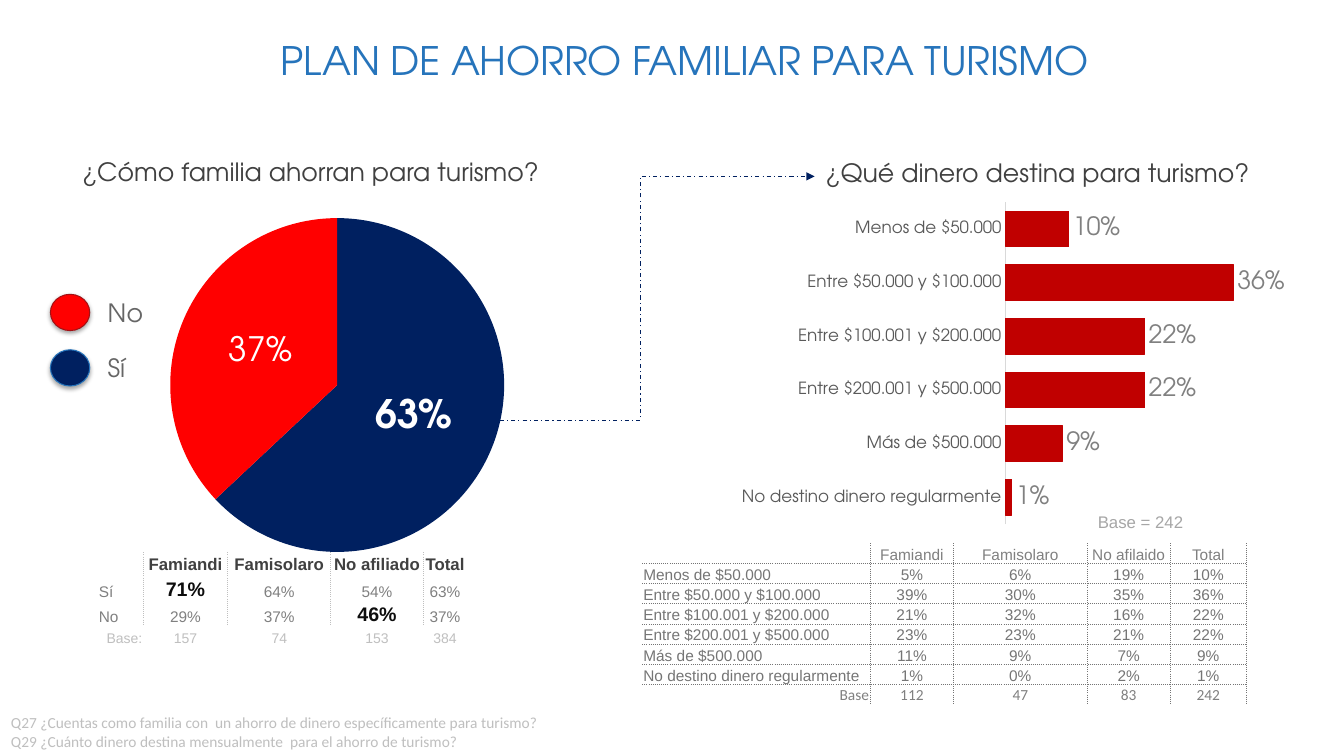
import pptx
import pptx.util
import pptx.chart.data
import pptx.dml.color
import pptx.enum.chart
import pptx.enum.dml
import pptx.enum.shapes
import pptx.enum.text
import pptx.oxml
import pptx.oxml.ns
from lxml import etree

Inches, Pt = pptx.util.Inches, pptx.util.Pt
RGB = pptx.dml.color.RGBColor
ALIGN = pptx.enum.text.PP_ALIGN
ANCHOR = pptx.enum.text.MSO_ANCHOR
CHART = pptx.enum.chart.XL_CHART_TYPE
LABEL = pptx.enum.chart.XL_LABEL_POSITION

BLUE, NAVY = RGB(0x26, 0x74, 0xBB), RGB(0x00, 0x20, 0x60)
RED, DARK_RED = RGB(0xFF, 0x00, 0x00), RGB(0xC0, 0x00, 0x00)
RED_EDGE, WHITE = RGB(0xA3, 0x11, 0x15), RGB(0xFF, 0xFF, 0xFF)
BLACK, INK = RGB(0x0D, 0x0D, 0x0D), RGB(0x40, 0x40, 0x40)
AXIS_TEXT, LEGEND_TEXT = RGB(0x59, 0x59, 0x59), RGB(0x66, 0x66, 0x66)
ROW_TEXT, GREY = RGB(0x75, 0x75, 0x75), RGB(0x80, 0x80, 0x80)
BASE_TEXT, PALE = RGB(0xA6, 0xA6, 0xA6), RGB(0xBF, 0xBF, 0xBF)
AXIS_LINE = RGB(0xD9, 0xD9, 0xD9)
GOTHIC, ARIAL, CALIBRI = "TeX Gyre Adventor", "Arial", "Calibri"
A_NS = pptx.oxml.ns.nsdecls("a")


def set_font(font, name, size, color, bold=False):
    for key, value in {"name": name, "size": Pt(size), "bold": bold}.items():
        setattr(font, key, value)
    font.color.rgb = color


def add_text(s, box, lines, name, size, color, align=ALIGN.LEFT, wrap=True):
    tf = s.shapes.add_textbox(*map(Inches, box)).text_frame
    tf.word_wrap = wrap
    for i, line in enumerate(lines):
        p = tf.add_paragraph() if i else tf.paragraphs[0]
        p.alignment = align
        r = p.add_run()
        r.text = line
        set_font(r.font, name, size, color)


def set_borders(cell, borders, width, dash):
    """borders gives left, right, top and bottom as a colour or None."""
    tc_pr = cell._tc.get_or_add_tcPr()
    for i, (side, color) in enumerate(zip("LRTB", borders)):
        fill = (f'<a:solidFill><a:srgbClr val="{color}"/></a:solidFill>'
                f'<a:prstDash val="{dash}"/>' if color else "<a:noFill/>")
        tc_pr.insert(i, pptx.oxml.parse_xml(
            f'<a:ln{side} {A_NS} w="{Pt(width)}">{fill}</a:ln{side}>'))


def add_table(s, x, y, widths, row_height, rows, style, borders, width, dash):
    """style and borders take a row and a column number."""
    shape = s.shapes.add_table(len(rows), len(widths), Inches(x), Inches(y),
                               Inches(sum(widths)), Inches(row_height * len(rows)))
    table = shape.table
    table.first_row = table.horz_banding = False
    for column, w in zip(table.columns, widths):
        column.width = Inches(w)
    for i, row in enumerate(rows):
        table.rows[i].height = Inches(row_height)
        for j, text in enumerate(row):
            cell = table.cell(i, j)
            cell.fill.background()
            margins = dict.fromkeys(("margin_left", "margin_right", "margin_top"), Inches(0.01))
            for key, value in {**margins, "margin_bottom": 0}.items():
                setattr(cell, key, value)
            font, align, anchor = style(i, j)
            cell.vertical_anchor = anchor
            p = cell.text_frame.paragraphs[0]
            p.alignment = align
            if text:
                r = p.add_run()
                r.text = text
                set_font(r.font, *font)
            else:
                p._p.get_or_add_endParaRPr().set("sz", str(font[1] * 100))
            set_borders(cell, borders(i, j), width, dash)


def add_chart(s, kind, box, categories, values, plot_box):
    data = pptx.chart.data.CategoryChartData(number_format="0%")
    data.categories = categories
    data.add_series("Series 1", values)
    chart = s.shapes.add_chart(kind, *map(Inches, box), data).chart
    chart.has_legend = chart.has_title = False
    set_font(chart.font, CALIBRI, 10, RGB(0, 0, 0))
    # Fixed inner plot area
    area = chart._chartSpace.chart.plotArea
    for old in area.findall(pptx.oxml.ns.qn("c:layout")):
        area.remove(old)
    marks = "".join(f'<c:{k} val="{v}"/>' for k, v in zip("xywh", plot_box))
    area.insert(0, pptx.oxml.parse_xml(
        f'<c:layout {pptx.oxml.ns.nsdecls("c")}><c:manualLayout>'
        '<c:layoutTarget val="inner"/><c:xMode val="edge"/><c:yMode val="edge"/>'
        f'{marks}</c:manualLayout></c:layout>'))
    plot = chart.plots[0]
    plot.has_data_labels = True
    labels = plot.data_labels
    labels.show_value = True
    labels.number_format, labels.number_format_is_linked = "0%", False
    return chart, plot, labels


def add_title(s, box, text):
    sp = s.shapes.title
    for key, value in zip(("left", "top", "width", "height"), box):
        setattr(sp, key, Inches(value))
    tf = sp.text_frame
    for side in ("left", "right", "top", "bottom"):
        setattr(tf, f"margin_{side}", 0)
    p = tf.paragraphs[0]
    p.alignment = ALIGN.CENTER
    r = p.add_run()
    r.text = text
    set_font(r.font, GOTHIC, 28, BLUE)
    r._r.get_or_add_rPr().set("spc", "-10")


def add_legend(s, x, y):
    for i, (text, fill, edge) in enumerate((("No", RED, RED_EDGE), ("Sí", NAVY, BLUE))):
        top = y + 0.55 * i
        sp = s.shapes.add_shape(pptx.enum.shapes.MSO_SHAPE.OVAL, Inches(x),
                                Inches(top), Inches(0.39), Inches(0.36))
        sp.fill.solid()
        sp.fill.fore_color.rgb = fill
        sp.line.color.rgb, sp.line.width = edge, Pt(0.75)
        sp._element.spPr.append(pptx.oxml.parse_xml(
            f'<a:effectLst {A_NS}><a:outerShdw blurRad="{Pt(3.1)}" dist="{Pt(1.8)}" '
            'dir="5400000" rotWithShape="0"><a:srgbClr val="000000"><a:alpha val="35000"/>'
            '</a:srgbClr></a:outerShdw></a:effectLst>'))
        add_text(s, (x + 0.47, top - 0.02, 0.7, 0.4), [text], GOTHIC, 18, LEGEND_TEXT)


def add_savings(s, x, y):
    """Pie, legend and table: does the family save for tourism?"""
    _, plot, labels = add_chart(s, CHART.PIE, (x + 0.07, y + 0.52, 6.47, 3.6),
                                ["1", "2"], (0.63, 0.37), (0.24, 0.04, 0.52, 0.92))
    set_font(labels.font, GOTHIC, 18, WHITE)
    labels.position = LABEL.CENTER
    for i, (fill, size, bold) in enumerate(((NAVY, 28, True), (RED, 24, False))):
        point = plot.series[0].points[i]
        point.format.fill.solid()
        point.format.fill.fore_color.rgb = fill
        set_font(point.data_label.font, GOTHIC, size, WHITE, bold)
        point.data_label.position = LABEL.CENTER
    add_legend(s, x + 0.46, y + 1.42)

    rows = [("", "Famiandi", "Famisolaro", "No afiliado", "Total"),
            ("Sí", "71%", "64%", "54%", "63%"),
            ("No", "29%", "37%", "46%", "37%"),
            ("Base:", "157", "74", "153", "384")]

    def style(i, j):
        align = ALIGN.CENTER if j else ALIGN.RIGHT if i == 3 else ALIGN.LEFT
        if i == 0:
            return (ARIAL, 12, INK, True), align, ANCHOR.MIDDLE
        if i == 3:
            return (ARIAL, 10, PALE), align, ANCHOR.MIDDLE
        top_value = (i, j) in ((1, 1), (2, 3))
        font = (ARIAL, 14, BLACK, True) if top_value else (ARIAL, 11, GREY)
        return font, align, ANCHOR.BOTTOM

    def borders(i, j):
        return (PALE if j and i < 3 else None, PALE if j < 4 and i < 3 else None, None, None)

    add_table(s, x + 0.93, y + 3.98, (0.45, 0.84, 1.02, 0.92, 0.43), 0.24,
              rows, style, borders, 1, "sysDot")
    add_text(s, (x, y, 6.08, 0.4), ["¿Cómo familia ahorran para turismo?"],
             GOTHIC, 18, INK, ALIGN.CENTER)


def add_spending(s, x, y):
    """Bars and table: how much money goes to tourism?"""
    amounts = ["Menos de $50.000", "Entre $50.000 y $100.000", "Entre $100.001 y $200.000",
               "Entre $200.001 y $500.000", "Más de $500.000", "No destino dinero regularmente"]
    add_text(s, (x + 0.88, y, 6.08, 0.4), ["¿Qué dinero destina para turismo?"],
             GOTHIC, 18, INK, ALIGN.CENTER)
    add_text(s, (x + 4.42, y + 3.52, 1.06, 0.3), ["Base = 242"], ARIAL, 12, BASE_TEXT, wrap=False)

    chart, plot, labels = add_chart(
        s, CHART.BAR_CLUSTERED, (x + 0.69, y + 0.37, 5.77, 3.5), amounts,
        (0.10, 0.36, 0.22, 0.22, 0.09, 0.01), (0.505, 0.036, 0.435, 0.913))
    set_font(labels.font, GOTHIC, 18, GREY)
    labels.position = LABEL.OUTSIDE_END
    plot.gap_width, plot.vary_by_categories = 50, False
    bars = plot.series[0].format
    bars.fill.solid()
    bars.fill.fore_color.rgb = bars.line.color.rgb = DARK_RED
    bars.line.width = Pt(0.75)
    axis = chart.category_axis
    axis.reverse_order = True
    axis.major_tick_mark = pptx.enum.chart.XL_TICK_MARK.NONE
    axis.format.line.color.rgb, axis.format.line.width = AXIS_LINE, Pt(0.75)
    set_font(axis.tick_labels.font, GOTHIC, 12, AXIS_TEXT)
    for key, value in {"visible": False, "has_major_gridlines": False,
                       "minimum_scale": 0, "maximum_scale": 0.4}.items():
        setattr(chart.value_axis, key, value)

    shares = [(5, 6, 19, 10), (39, 30, 35, 36), (21, 32, 16, 22),
              (23, 23, 21, 22), (11, 9, 7, 9), (1, 0, 2, 1)]
    rows = [("", "Famiandi", "Famisolaro", "No afilaido", "Total"),
            *((a, *(f"{v}%" for v in vs)) for a, vs in zip(amounts, shares)),
            ("Base", "112", "47", "83", "242")]

    def style(i, j):
        align = ALIGN.CENTER if j else ALIGN.RIGHT if i == 7 else ALIGN.LEFT
        return (CALIBRI if i == 7 else ARIAL, 11, GREY if i in (0, 7) else ROW_TEXT), align, ANCHOR.BOTTOM

    def borders(i, j):
        return [ROW_TEXT if on else None for on in (j > 0, True, i > 0, i < 7)]

    add_table(s, x, y + 3.88, (2.26, 0.83, 1.32, 0.83, 0.75), 0.2,
              rows, style, borders, 0.5, "dot")


def add_link(s, start, end):
    c = s.shapes.add_connector(pptx.enum.shapes.MSO_CONNECTOR.ELBOW, *map(Inches, start + end))
    c.line.color.rgb, c.line.width = NAVY, Pt(0.75)
    c.line.dash_style = pptx.enum.dml.MSO_LINE.DASH_DOT
    etree.SubElement(c.line._get_or_add_ln(), pptx.oxml.ns.qn("a:tailEnd"), type="triangle")
    etree.SubElement(c._element.spPr, pptx.oxml.ns.qn("a:effectLst"))


def main():
    prs = pptx.Presentation()
    prs.slide_width, prs.slide_height = Inches(13.33), Inches(7.5)
    s = prs.slides.add_slide(prs.slide_layouts[5])
    add_title(s, (1.73, 0.35, 10.11, 0.49), "PLAN DE AHORRO FAMILIAR PARA TURISMO")
    # Survey questions
    add_text(s, (0.01, 7.03, 6.67, 0.47),
             ["Q27 ¿Cuentas como familia con  un ahorro de dinero específicamente para turismo?",
              "Q29 ¿Cuánto dinero destina mensualmente  para el ahorro de turismo?"],
             CALIBRI, 11, PALE)
    add_savings(s, 0.04, 1.5)
    add_link(s, (4.62, 4.17), (8.08, 1.75))
    add_spending(s, 6.37, 1.51)
    prs.save("out.pptx")


if __name__ == "__main__":
    main()
